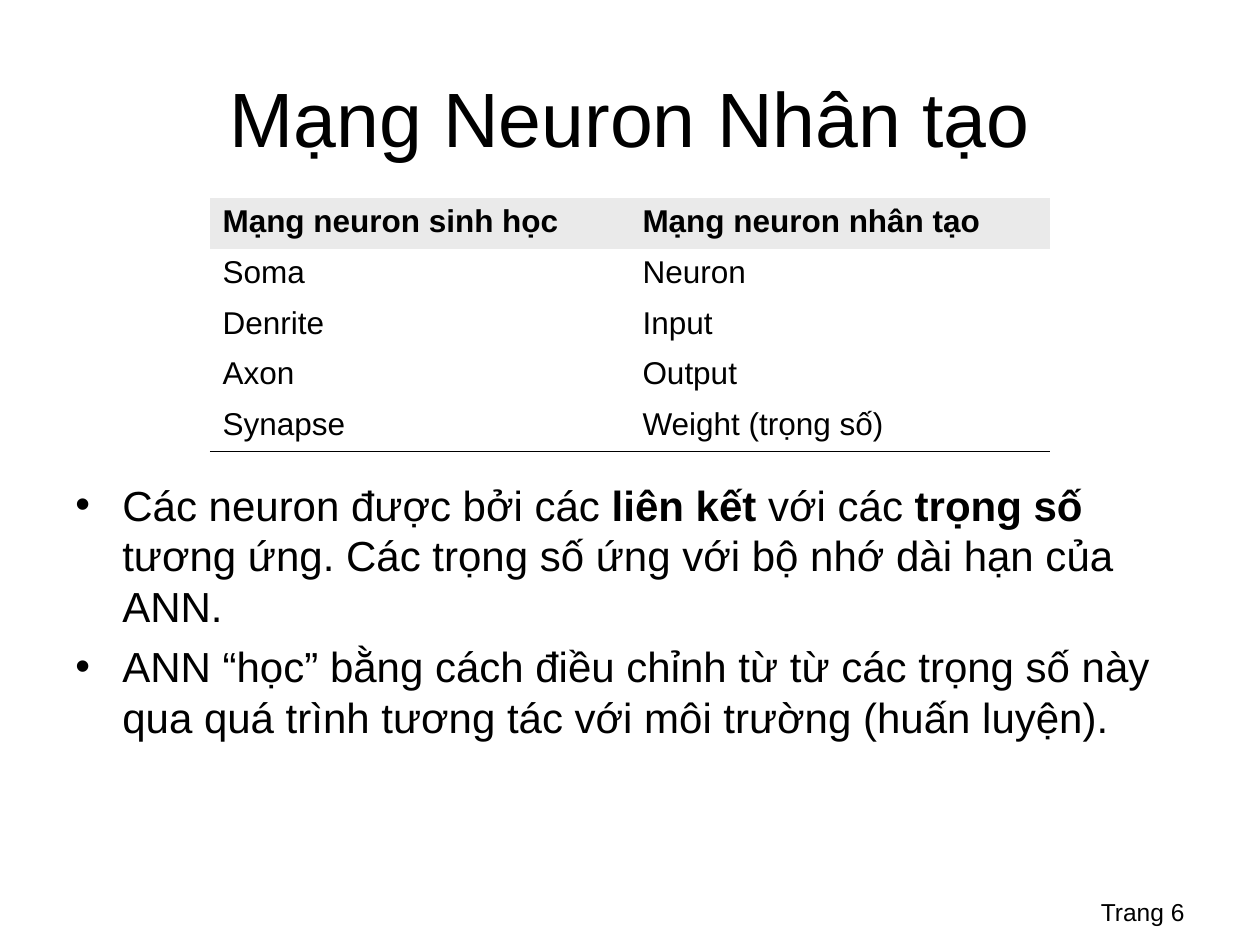
from lxml import etree
from pptx import Presentation
from pptx import util as u
from pptx.dml.color import RGBColor
from pptx.enum import text
from pptx.oxml.ns import qn

SCALE = 914400 / 126


def px(length):
    return u.Emu(round(length * SCALE))


def colour(value):
    return RGBColor.from_string(value)


class SlideBuilder:
    """Holds the style and the current slide, and draws its elements."""

    font = "Arial"
    ink = "000000"
    header_fill = "EAEAEA"
    plain_table = "{2D5ABB26-0587-4C30-8999-92F81FD0307C}"

    def __init__(self, deck):
        self.slide = deck.slides.add_slide(deck.slide_layouts[6])

    def add_span(self, para, words, size, bold=False):
        span = para.add_run()
        span.text = words
        span.font.name = self.font
        span.font.size = u.Pt(size)
        span.font.bold = bold
        span.font.color.rgb = colour(self.ink)

    def add_box(self, left, top, width, height, anchor):
        box = self.slide.shapes.add_textbox(px(left), px(top), px(width), px(height))
        frame = box.text_frame
        frame.word_wrap = True
        frame.vertical_anchor = anchor
        return frame

    def add_label(self, area, words, size, align, anchor):
        frame = self.add_box(*area, anchor)
        para = frame.paragraphs[0]
        para.alignment = align
        self.add_span(para, words, size)
        return frame

    def add_bullets(self, area, items, size, indent, gap):
        frame = self.add_box(*area, text.MSO_ANCHOR.TOP)
        for index, spans in enumerate(items):
            para = frame.add_paragraph() if index else frame.paragraphs[0]
            if index:
                para.space_before = u.Pt(gap)
            props = para._p.get_or_add_pPr()
            props.set("marL", str(px(indent)))
            props.set("indent", str(-px(indent)))
            etree.SubElement(props, qn("a:buFont"), typeface=self.font)
            etree.SubElement(props, qn("a:buChar"), char="•")
            for words, bold in spans:
                self.add_span(para, words, size, bold)

    def add_table(self, area, rows, size):
        shape = self.slide.shapes.add_table(len(rows), len(rows[0]), *map(px, area))
        for style in shape.element.iter(qn("a:tableStyleId")):
            style.text = self.plain_table
        table = shape.table
        table.first_row = table.horz_banding = False
        for r, row in enumerate(rows):
            for c, words in enumerate(row):
                cell = table.cell(r, c)
                self.add_span(cell.text_frame.paragraphs[0], words, size, bold=r == 0)
                if r == len(rows) - 1:
                    self.add_bottom_border(cell, 0.45)
                if r == 0:
                    cell.fill.solid()
                    cell.fill.fore_color.rgb = colour(self.header_fill)
                else:
                    cell.fill.background()

    def add_bottom_border(self, cell, width):
        props = cell._tc.get_or_add_tcPr()
        line = etree.SubElement(props, qn("a:lnB"), w=str(u.Pt(width)))
        fill = etree.SubElement(line, qn("a:solidFill"))
        etree.SubElement(fill, qn("a:srgbClr"), val=self.ink)


def main():
    deck = Presentation()
    deck.slide_width, deck.slide_height = px(1260), px(945)
    page = SlideBuilder(deck)

    footer = page.add_label((903, 861, 294, 65), "Trang 6", 14,
                            text.PP_ALIGN.RIGHT, text.MSO_ANCHOR.BOTTOM)
    footer.margin_bottom = 0
    page.add_label((63, 38, 1134, 157), "Mạng Neuron Nhân tạo", 44,
                   text.PP_ALIGN.CENTER, text.MSO_ANCHOR.MIDDLE)
    page.add_bullets((63, 473, 1134, 372), [
        [("Các neuron được bởi các ", False), ("liên kết ", True),
         ("với các ", False), ("trọng số ", True),
         ("tương ứng. Các trọng số ứng với bộ nhớ dài hạn của ANN.", False)],
        [("ANN “học” bằng cách điều chỉnh từ từ các trọng số này "
          "qua quá trình tương tác với môi trường (huấn luyện).", False)],
    ], size=24, indent=47, gap=6)
    page.add_table((210, 198, 840, 253), [
        ("Mạng neuron sinh học", "Mạng neuron nhân tạo"),
        ("Soma", "Neuron"),
        ("Denrite", "Input"),
        ("Axon", "Output"),
        ("Synapse", "Weight (trọng số)"),
    ], size=18)
    deck.save("out.pptx")


if __name__ == "__main__":
    main()
